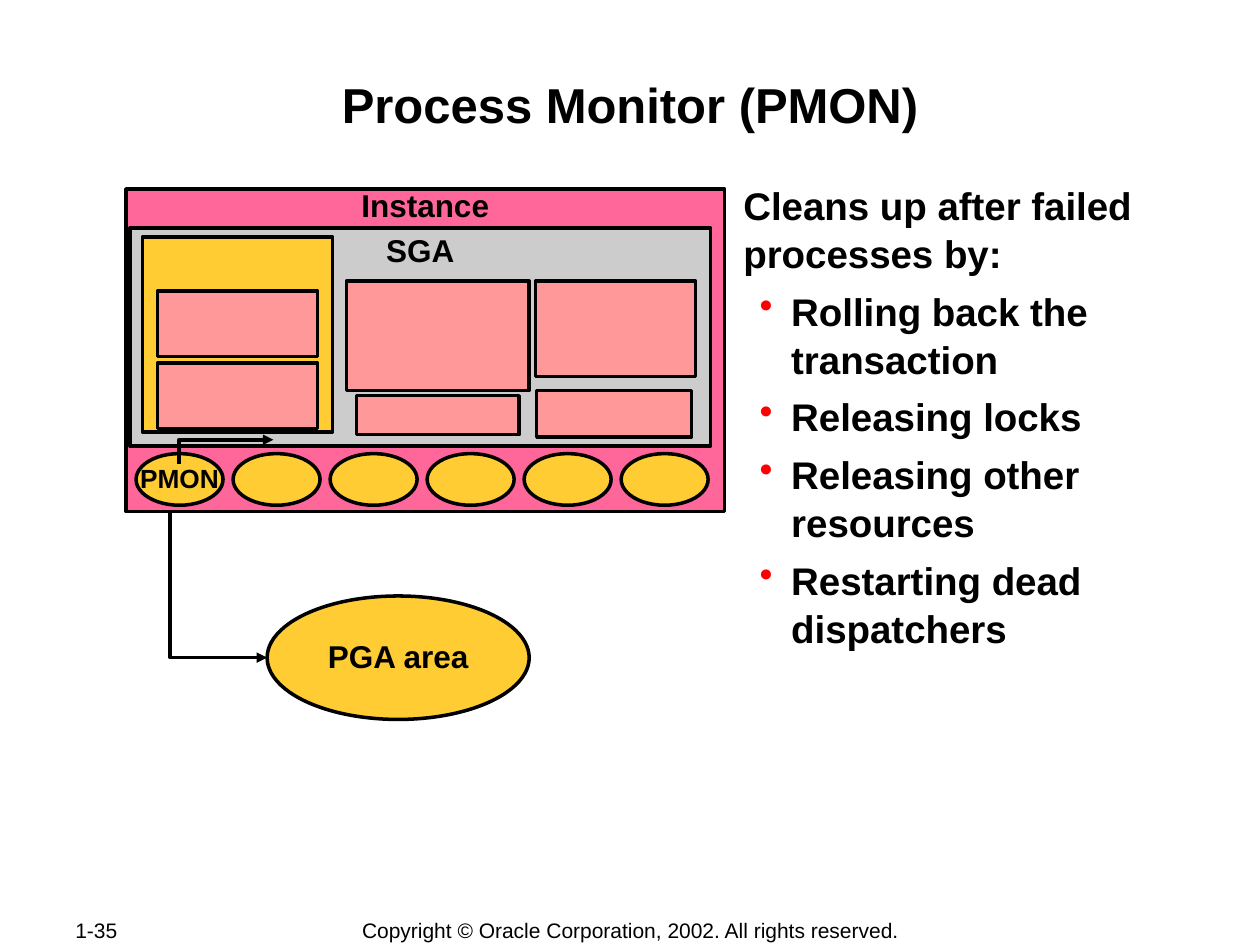
from collections import namedtuple

from lxml.etree import SubElement
from pptx import Presentation
from pptx.dml.color import RGBColor
from pptx.enum.shapes import MSO_SHAPE
from pptx.enum.text import MSO_ANCHOR, MSO_AUTO_SIZE, PP_ALIGN
from pptx.oxml.ns import qn
from pptx.util import Inches, Pt

# The slide is a grid of 100 columns by 75 rows of equal pitch.
COLUMNS, ROWS = 100, 75
PITCH = Inches(0.1)
BLACK, RED, PINK, GRAY = "000000", "FF0000", "FF6699", "CCCCCC"
GOLD, SALMON = "FFCC33", "FF9999"

Box = namedtuple("Box", "left top width height")


def grid(units):
    return round(units * PITCH)


def within(outer, left, top, width, height):
    """Box placed relative to the top left corner of another box."""
    return Box(outer.left + left, outer.top + top, width, height)


def color(value):
    return RGBColor.from_string(value)


def style_paragraph(paragraph, size, bold=True, align=PP_ALIGN.LEFT):
    paragraph.alignment = align
    font = paragraph.font
    font.name, font.size, font.bold = "Arial", Pt(size), bold
    font.color.rgb = color(BLACK)


def set_frame(frame, anchor, inset_x, inset_y, wrap=True):
    frame.auto_size = MSO_AUTO_SIZE.NONE
    frame.word_wrap = wrap
    frame.vertical_anchor = anchor
    frame.margin_left = frame.margin_right = Inches(inset_x)
    frame.margin_top = frame.margin_bottom = Inches(inset_y)


def add_block(slide, kind, box, fill, label="", size=18,
              anchor=MSO_ANCHOR.MIDDLE, inset_y=0.05):
    block = slide.shapes.add_shape(kind, *map(grid, box))
    block.shadow.inherit = False
    block.fill.solid()
    block.fill.fore_color.rgb = color(fill)
    block.line.color.rgb = color(BLACK)
    block.line.width = Pt(2)
    if label:
        set_frame(block.text_frame, anchor, 0.05, inset_y, wrap=False)
        block.text_frame.text = label
        paragraph = block.text_frame.paragraphs[0]
        style_paragraph(paragraph, size, align=PP_ALIGN.CENTER)
        paragraph.line_spacing = 0.95


def add_elbow_arrow(slide, start, end):
    """Arrow that runs vertically from start, then horizontally to end."""
    builder = slide.shapes.build_freeform(*map(grid, start))
    corner = (start[0], end[1])
    builder.add_line_segments(
        [tuple(map(grid, point)) for point in (corner, end)], close=False)
    arrow = builder.convert_to_shape()
    arrow.shadow.inherit = False
    arrow.fill.background()
    arrow.line.color.rgb = color(BLACK)
    arrow.line.width = Pt(2)
    SubElement(arrow.line._get_or_add_ln(), qn("a:tailEnd"), type="triangle")


def add_title(slide, box, text):
    title = slide.shapes.title
    title.left, title.top, title.width, title.height = map(grid, box)
    set_frame(title.text_frame, MSO_ANCHOR.TOP, 0.01, 0.01)
    title.text_frame.text = text
    style_paragraph(title.text_frame.paragraphs[0], 28, align=PP_ALIGN.CENTER)


def add_bullet(paragraph):
    properties = paragraph._p.get_or_add_pPr()
    properties.set("marL", str(Inches(0.38)))
    properties.set("indent", str(Inches(-0.25)))
    bullet_color = SubElement(properties, qn("a:buClr"))
    SubElement(bullet_color, qn("a:srgbClr"), val=RED)
    SubElement(properties, qn("a:buChar"), char="•")


def add_duties(slide, box, intro, duties):
    frame = slide.shapes.add_textbox(*map(grid, box)).text_frame
    set_frame(frame, MSO_ANCHOR.TOP, 0.01, 0.01)
    frame.text = "\n".join([intro, *duties])
    for index, paragraph in enumerate(frame.paragraphs):
        if index:
            add_bullet(paragraph)
            paragraph.space_before = Pt(5.5)
        paragraph.line_spacing = 1.04
        style_paragraph(paragraph, 22)


def add_sga(slide, box):
    add_block(slide, MSO_SHAPE.RECTANGLE, box, GRAY, "SGA",
              anchor=MSO_ANCHOR.TOP)
    shared_pool = within(box, 1, 0.7, 15.1, 15.5)
    add_block(slide, MSO_SHAPE.RECTANGLE, shared_pool, GOLD)
    pool_caches = [within(shared_pool, 1.2, 4.3 + 5.7 * row, 12.7, 5.2)
                   for row in range(2)]
    buffers = [within(box, *place) for place in (
        (17.2, 4.2, 14.5, 8.7), (32.2, 4.2, 12.7, 7.6),
        (18, 13.3, 12.9, 3.1), (32.3, 12.9, 12.3, 3.7))]
    for memory in pool_caches + buffers:
        add_block(slide, MSO_SHAPE.RECTANGLE, memory, SALMON)


def add_instance(slide, box):
    add_block(slide, MSO_SHAPE.RECTANGLE, box, PINK, "Instance",
              anchor=MSO_ANCHOR.TOP, inset_y=0)
    add_sga(slide, within(box, 0.3, 3.1, 46.1, 17.3))
    for index, process in enumerate(["PMON"] + [""] * 5):
        place = within(box, 0.8 + 7.7 * index, 21, 6.9, 4.1)
        add_block(slide, MSO_SHAPE.OVAL, place, GOLD, process, size=15)
    add_elbow_arrow(slide, (box.left + 4.2, box.top + 21.8),
                    (box.left + 11.7, box.top + 19.9))


def add_pga(slide, box, instance):
    add_block(slide, MSO_SHAPE.OVAL, box, GOLD, "PGA area")
    add_elbow_arrow(slide,
                    (instance.left + 3.5, instance.top + instance.height),
                    (box.left, box.top + box.height / 2))


def add_footer_text(slide, box, text, align, wrap):
    frame = slide.shapes.add_textbox(*map(grid, box)).text_frame
    set_frame(frame, MSO_ANCHOR.MIDDLE, 0.1, 0.05, wrap)
    frame.text = text
    style_paragraph(frame.paragraphs[0], 12, bold=False, align=align)


def main():
    presentation = Presentation()
    presentation.slide_width = grid(COLUMNS)
    presentation.slide_height = grid(ROWS)
    slide = presentation.slides.add_slide(presentation.slide_layouts[5])

    add_footer_text(
        slide, Box(27.6, 72.8, 44.9, 2.1),
        "Copyright © Oracle Corporation, 2002. All rights reserved.",
        PP_ALIGN.CENTER, wrap=False)
    add_footer_text(slide, Box(5, 72.8, 10.6, 2.1), "1-35",
                    PP_ALIGN.LEFT, wrap=True)
    add_title(slide, Box(10, 5.8, 80, 9.6), "Process Monitor (PMON)")
    add_duties(slide, Box(58.9, 14.2, 39.4, 36.3),
               "Cleans up after failed processes by:",
               ["Rolling back the transaction", "Releasing locks",
                "Releasing other resources", "Restarting dead dispatchers"])

    instance = Box(10, 15, 47.5, 25.6)
    add_pga(slide, Box(21.2, 47.3, 20.8, 9.8), instance)
    add_instance(slide, instance)
    presentation.save("out.pptx")


if __name__ == "__main__":
    main()
